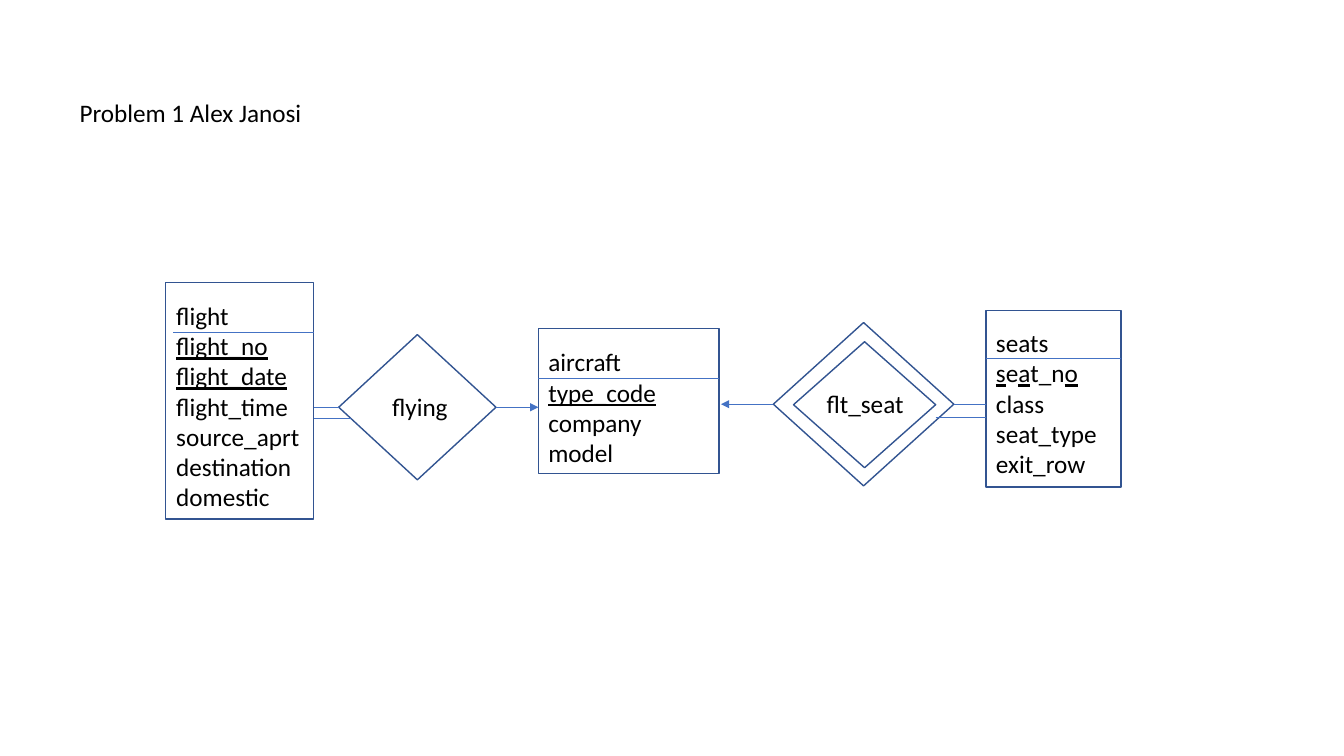
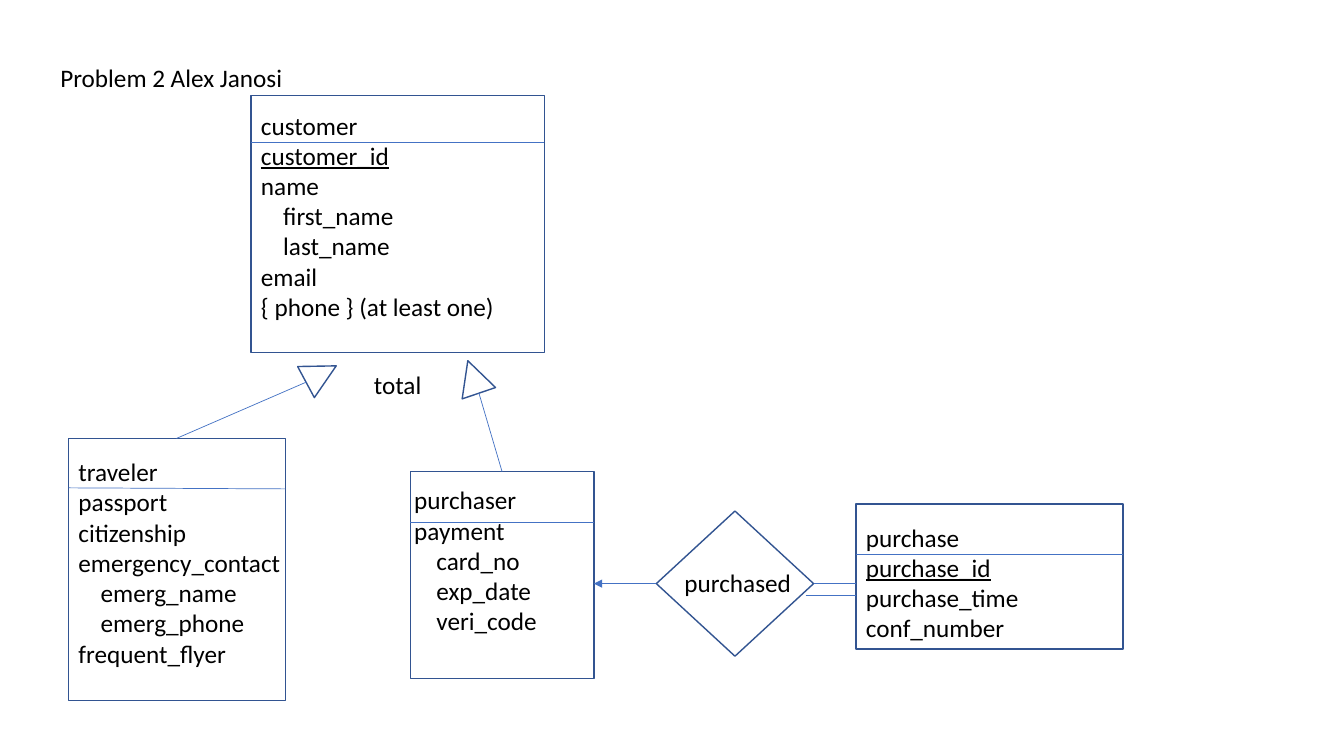
from pptx import Presentation
from pptx.dml.color import RGBColor
from pptx.enum.shapes import MSO_CONNECTOR as LINK, MSO_SHAPE as FORM
from pptx.oxml.ns import qn
from pptx.util import Inches, Pt
from lxml.etree import SubElement

EDGE, WIRE, INK = "325491", "4472C4", "000000"
FONT = {"name": "Calibri", "size": Pt(18)}
INDENT = Inches(0.22)
HEAD = 0.41

# Labels: asterisks enclose underlined keys, ">" marks a nested field.
# Box: frame, text place and width, rule height, fields.
# Link: from, to, arrow at its end.
PAGES = [
    {
        "boxes": [
            ((1.64, 2.8, 1.47, 2.35), (1.65, 2.93, 1.47), (1.72, 3.3, 3.3),
             ["flight", "*flight_no*", "*flight_date*", "flight_time",
              "source_aprt", "destination", "domestic"]),
            ((5.34, 3.26, 1.79, 1.44), (5.34, 3.39, 2.65), (5.34, 3.75, 3.75),
             ["aircraft", "*type_code*", "company", "model"]),
            ((9.78, 3.08, 1.34, 1.75), (9.78, 3.2, 1.34), (9.78, 3.56, 3.56),
             ["seats", "*s*e*a*t_n*o*", "class", "seat_type", "exit_row"]),
        ],
        "forms": [
            (FORM.DIAMOND, (7.67, 3.2, 1.79, 1.62), 0),
            (FORM.DIAMOND, (7.87, 3.39, 1.41, 1.25), 0),
            (FORM.DIAMOND, (3.36, 3.32, 1.56, 1.44), 0),
        ],
        "links": [
            (4.92, 4.04, 5.34, 4.04, True),
            (7.67, 4.01, 7.15, 4.01, True),
            (9.46, 4.01, 9.78, 4.01, False),
            (9.28, 4.14, 9.78, 4.14, False),
            (3.36, 4.04, 3.11, 4.04, False),
            (3.48, 4.15, 3.11, 4.15, False),
        ],
        "words": [
            (0.69, 0.92, 4.65, "Problem 1 Alex Janosi"),
            (3.79, 3.83, 1.06, "flying"),
            (8.1, 3.8, 0.97, "flt_seat"),
        ],
    },
    {
        "boxes": [
            ((0.68, 4.35, 2.15, 2.6), (0.68, 4.48, 2.65), (0.68, 4.84, 4.85),
             ["traveler", "passport", "citizenship", "emergency_contact",
              ">emerg_name", ">emerg_phone", "frequent_flyer"]),
            ((2.49, 0.95, 2.91, 2.55), (2.49, 1.04, 2.91), (2.49, 1.41, 1.41),
             ["customer", "*customer_id*", "name", ">first_name",
              ">last_name", "email", "{ phone } (at least one)"]),
            ((4.07, 4.68, 1.82, 2.05), (4.01, 4.76, 2.91), (4.07, 5.18, 5.18),
             ["purchaser", "payment", ">card_no", ">exp_date", ">veri_code"]),
            ((8.49, 5, 2.65, 1.44), (8.49, 5.13, 2.65), (8.49, 5.5, 5.5),
             ["purchase", "*purchase_id*", "purchase_time", "conf_number"]),
        ],
        "forms": [
            (FORM.DIAMOND, (6.51, 5.07, 1.56, 1.44), 0),
            (FORM.ISOSCELES_TRIANGLE, (3.01, 3.54, 0.35, 0.34), 61.8),
            (FORM.ISOSCELES_TRIANGLE, (4.52, 3.57, 0.35, 0.34), 341.2),
        ],
        "links": [
            (6.51, 5.79, 5.89, 5.79, True),
            (8.07, 5.79, 8.49, 5.79, False),
            (7.99, 5.91, 8.49, 5.91, False),
            (1.75, 4.35, 3.04, 3.79, False),
            (4.75, 3.9, 4.98, 4.68, False),
        ],
        "words": [
            (0.5, 0.57, 2.72, "Problem 2 Alex Janosi"),
            (6.69, 5.58, 1.31, "purchased"),
            (3.61, 3.61, 0.89, "total"),
        ],
    },
]


def paint(part, hue, width=None):
    """Colour a font, or a line when a width is given."""
    if width:
        part.fill.solid()
        part.width = Pt(width)
        part.fill.fore_color.rgb = RGBColor.from_string(hue)
    else:
        part.color.rgb = RGBColor.from_string(hue)


deck = Presentation()
deck.slide_width, deck.slide_height = Inches(13.33), Inches(7.5)

for page in PAGES:
    shapes = deck.slides.add_slide(deck.slide_layouts[6]).shapes
    forms = [(FORM.RECTANGLE, box[0], 0) for box in page["boxes"]]
    links, texts = list(page["links"]), []
    for frame, (left, top, width), (start, y1, y2), fields in page["boxes"]:
        links.append((start, y1, frame[0] + frame[2], y2, False))
        texts.append((left, top, width, fields))
    for left, top, width, word in page["words"]:
        texts.append((left, top, width, [word]))

    for kind, frame, turn in forms + page["forms"]:
        form = shapes.add_shape(kind, *map(Inches, frame))
        form.rotation = turn
        form.shadow.inherit = False
        form.fill.background()
        paint(form.line, EDGE, 1)

    for *ends, arrow in links:
        link = shapes.add_connector(LINK.STRAIGHT, *map(Inches, ends))
        paint(link.line, WIRE, 0.5)
        props = link._element.spPr
        if arrow:
            SubElement(props.find(qn("a:ln")), qn("a:tailEnd"), type="triangle")
        SubElement(props, qn("a:effectLst"))

    for left, top, width, rows in texts:
        size = map(Inches, (left, top, width, HEAD + 0.3 * (len(rows) - 1)))
        frame = shapes.add_textbox(*size).text_frame
        frame.word_wrap = True
        for i, row in enumerate(rows):
            para = frame.add_paragraph() if i else frame.paragraphs[0]
            if row.startswith(">"):
                para._p.get_or_add_pPr().set("marL", str(INDENT))
            for j, piece in enumerate(row.lstrip(">").split("*")):
                if piece:
                    run = para.add_run()
                    run.text = piece
                    for key, value in {**FONT, "underline": j % 2 == 1}.items():
                        setattr(run.font, key, value)
                    paint(run.font, INK)

deck.save("out.pptx")
